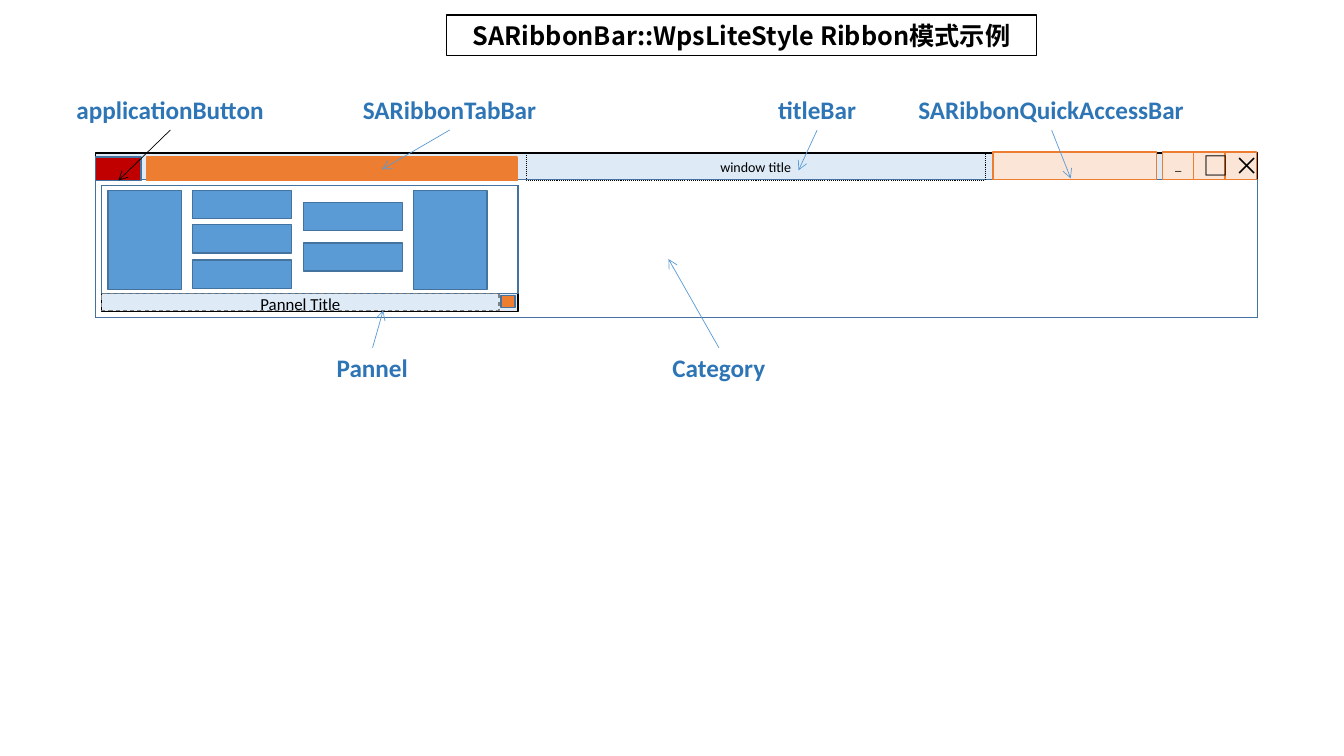
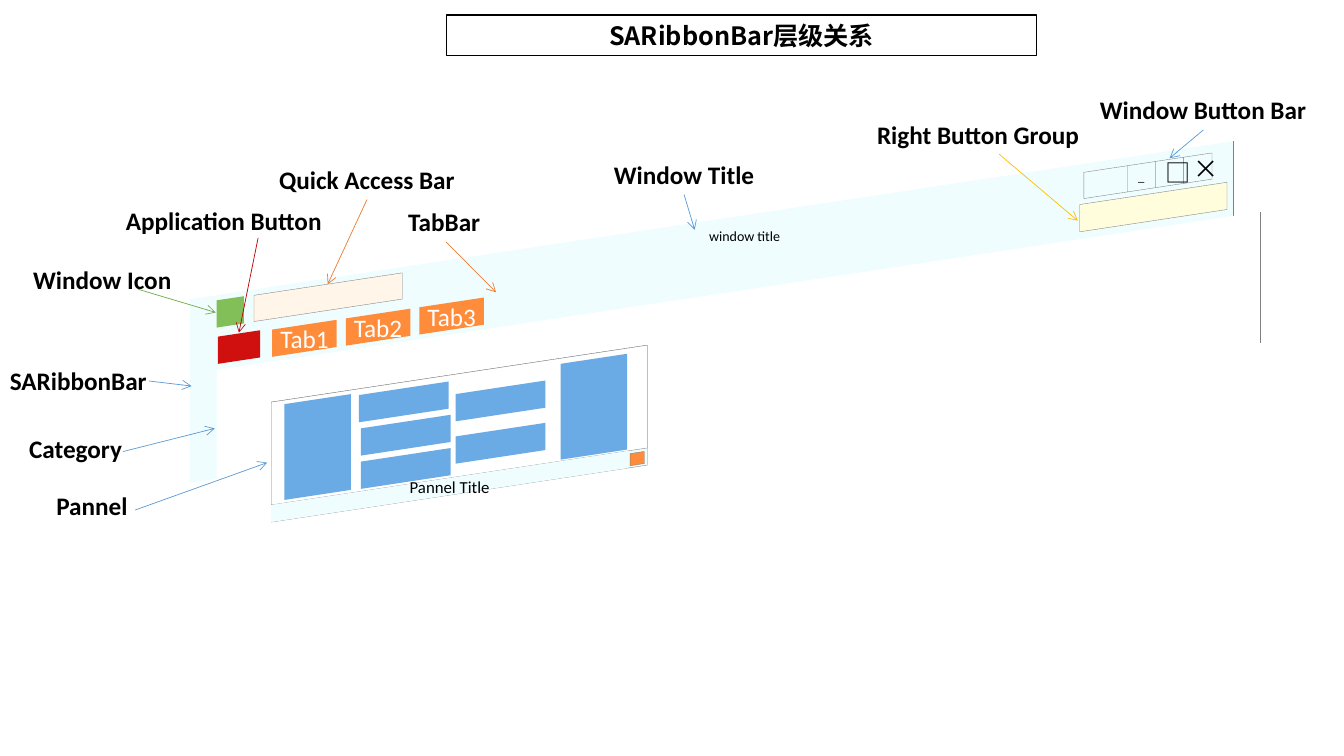
from lxml import etree
from pptx import Presentation
from pptx.dml.color import RGBColor
from pptx.enum.dml import MSO_LINE
from pptx.enum.shapes import MSO_CONNECTOR, MSO_SHAPE
from pptx.enum.text import MSO_ANCHOR, MSO_AUTO_SIZE, PP_ALIGN
from pptx.oxml.ns import qn
from pptx.util import Inches, Pt

COLORS = {
    "black": "000000", "white": "FFFFFF", "gray": "808080", "pale": "DEEBF7",
    "edge": "43739E", "blue": "5B9BD5", "label": "2E75B6", "red": "C00000",
    "orange": "ED7D31", "peach": "FBE5D6", "green": "70AD47", "gold": "FFC000",
    # lighter tones of the tilted view
    "ice": "EFFDFF", "sky": "6AAAE5", "tab": "FF8C3B", "cream": "FFF5E8",
    "lemon": "FFFDDC", "scarlet": "D00F0F", "leaf": "82BF58",
}
LATIN, CJK = "Calibri", "Noto Sans CJK SC"
SLOPE = 0.1515  # rise per inch of the tilted view
# text, size, font of the three window buttons, right to left, so that a
# wide symbol lies over the cell on its right
WINDOW_BUTTONS = [("×", 18, CJK), ("□", 18, CJK), ("_", 9, LATIN)]
BOTTOM, TOP = 2, 0


def rgb(name):
    return RGBColor.from_string(COLORS[name])


def paint(sp, fill=None, line=None, width=1, dash=None):
    sp.shadow.inherit = False
    if fill:
        sp.fill.solid()
        sp.fill.fore_color.rgb = rgb(fill)
    else:
        sp.fill.background()
    if line:
        sp.line.color.rgb = rgb(line)
        sp.line.width = Pt(width)
        if dash:
            sp.line.dash_style = dash
    else:
        sp.line.fill.background()


def write(sp, text, size, color="black", bold=False, font=LATIN,
          align=PP_ALIGN.CENTER, anchor=MSO_ANCHOR.MIDDLE, inset=None):
    tf = sp.text_frame
    tf.text = text
    tf.vertical_anchor = anchor
    if inset is not None:
        tf.margin_left = tf.margin_right = Inches(inset)
        tf.margin_top = tf.margin_bottom = Inches(inset)
    p = tf.paragraphs[0]
    p.alignment = align
    r = p.runs[0]
    r.font.size, r.font.bold, r.font.name = Pt(size), bold, font
    r.font.color.rgb = rgb(color)
    ea = etree.SubElement(r.font._element, qn("a:ea"))
    ea.set("typeface", font)


def rect(s, x, y, w, h, fill=None, line=None, width=1, dash=None):
    sp = s.shapes.add_shape(MSO_SHAPE.RECTANGLE, Inches(x), Inches(y),
                            Inches(w), Inches(h))
    paint(sp, fill, line, width, dash)
    return sp


def slanted(s, x, y, w, h, fill, line=None):
    """Parallelogram with upright sides; x, y is its upper left corner."""
    rise = w * SLOPE
    corners = [(x + w, y - rise), (x + w, y + h - rise), (x, y + h)]
    fb = s.shapes.build_freeform(Inches(x), Inches(y))
    fb.add_line_segments([(Inches(a), Inches(b)) for a, b in corners], close=True)
    sp = fb.convert_to_shape()
    paint(sp, fill, line, 0.25)
    return sp


def connector(s, start, end, color, width=0.5, arrow=True):
    cn = s.shapes.add_connector(MSO_CONNECTOR.STRAIGHT,
                                *(Inches(v) for v in (*start, *end)))
    cn.line.color.rgb = rgb(color)
    cn.line.width = Pt(width)
    if arrow:
        ln = cn.line._get_or_add_ln()
        etree.SubElement(ln, qn("a:tailEnd")).set("type", "arrow")
    etree.SubElement(cn._element.spPr, qn("a:effectLst"))
    return cn


def callout(s, text, box, start, end, text_color="black", color="blue"):
    """Bold label with an arrow; start is a side of the label or a point."""
    x, y, w = box
    tb = s.shapes.add_textbox(Inches(x), Inches(y), Inches(w), Inches(0.4))
    tb.text_frame.word_wrap = False
    tb.text_frame.auto_size = MSO_AUTO_SIZE.SHAPE_TO_FIT_TEXT
    write(tb, text, 18, text_color, True, align=PP_ALIGN.LEFT,
          anchor=MSO_ANCHOR.TOP)
    if isinstance(start, tuple):
        return connector(s, start, end, color)
    cn = connector(s, (x, y), end, color)
    cn.begin_connect(tb, start)
    return cn


def titled_slide(prs, title):
    s = prs.slides.add_slide(prs.slide_layouts[5])
    sp = s.shapes.title
    sp.left, sp.top = Inches(4.43), Inches(0.15)
    sp.width, sp.height = Inches(5.85), Inches(0.4)
    paint(sp, "white", "black")
    write(sp, title, 18, bold=True, font=CJK)
    sp.text_frame.auto_size = MSO_AUTO_SIZE.NONE
    return s


def flat_panel(s, x, y):
    rect(s, x, y, 4.13, 1.25, "pale", "black")
    rect(s, x, y, 4.13, 1.07, "white", "edge")
    rect(s, x + 3.96, y + 1.09, 0.14, 0.12, "orange", "edge")
    for dx in (0.06, 3.09):
        rect(s, x + dx, y + 0.05, 0.73, 0.98, "blue", "edge")
    for dx, rows in ((0.9, (0.05, 0.39, 0.74)), (2, (0.17, 0.57))):
        for dy in rows:
            rect(s, x + dx, y + dy, 0.98, 0.28, "blue", "edge")
    strip = rect(s, x, y + 1.07, 3.94, 0.17, None, "gray", 0.75, MSO_LINE.DASH)
    write(strip, "Pannel Title", 12, anchor=MSO_ANCHOR.TOP, inset=0)


def flat_ribbon(s, x, y):
    """Draw the ribbon and return its application button."""
    rect(s, x, y, 11.52, 1.63, "pale", "black")
    rect(s, x, y + 0.26, 11.52, 1.37, "white", "edge")
    button = rect(s, x, y + 0.04, 0.45, 0.23, "red", "edge")
    rect(s, x + 0.51, y + 0.04, 3.67, 0.23, "orange", "orange")
    rect(s, x + 8.9, y - 0.01, 1.62, 0.27, "peach", "orange")
    for i, (text, size, font) in enumerate(WINDOW_BUTTONS):
        cell = rect(s, x + 11.2 - 0.31 * i, y - 0.01, 0.31, 0.27,
                    "peach", "orange")
        write(cell, text, size, font=font)
    slot = rect(s, x + 4.27, y, 4.55, 0.27, None, "black", 0.75,
                MSO_LINE.ROUND_DOT)
    write(slot, "window title", 10)
    flat_panel(s, x + 0.06, y + 0.32)
    return button


def tilted_panel(s, x, y):
    slanted(s, x, y, 3.73, 1.19, "ice", "gray")
    slanted(s, x, y, 3.73, 1.02, "white", "gray")
    for dx, dy in ((0.13, 0.02), (2.87, -0.38)):
        slanted(s, x + dx, y + dy, 0.66, 0.95, "sky")
    for dx, dy in ((0.87, -0.07), (0.89, 0.26), (0.89, 0.59),
                   (1.83, -0.08), (1.83, 0.34)):
        slanted(s, x + dx, y + dy, 0.89, 0.27, "sky")
    slanted(s, x + 3.56, y + 0.51, 0.14, 0.12, "tab", "gray")
    strip = slanted(s, x, y + 1.02, 3.54, 0.17, "ice")
    write(strip, "Pannel Title", 12, inset=0)


def tilted_window_buttons(s, x, y):
    slanted(s, x, y, 0.43, 0.26, "ice", "gray")
    for i, (text, size, font) in enumerate(WINDOW_BUTTONS):
        dx = 0.99 - 0.28 * i
        cell = slanted(s, x + dx, y - dx * SLOPE, 0.28, 0.26, "ice", "gray")
        write(cell, text, size, font=font)


def tilted_ribbon(s, x, y):
    width = 10.35
    for dx, dy, h, fill in ((0, 0, 1.82, "ice"), (0.27, 0.7, 1.3, "white")):
        slanted(s, x + dx, y + dy, width, h, fill)
        right, top = x + dx + width, y + dy - width * SLOPE
        bottom = top + (0.74 if fill == "ice" else h)
        connector(s, (right, top), (right, bottom), "gray", 0.25, arrow=False)
    slanted(s, x + 0.27, y + 0.01, 0.27, 0.27, "leaf")
    slanted(s, x + 0.28, y + 0.37, 0.42, 0.27, "scarlet")
    slanted(s, x + 0.64, y - 0.04, 1.47, 0.26, "cream", "gray")
    for i in range(3):
        dx = 0.73 * i
        tab = slanted(s, x + 0.82 + dx, y + 0.3 - dx * SLOPE, 0.64, 0.27, "tab")
        write(tab, f"Tab{i + 1}", 18, "white", inset=0)
    tilted_window_buttons(s, x + 8.87, y - 1.26)
    slanted(s, x + 8.83, y - 0.94, 1.46, 0.27, "lemon", "gray")
    tb = s.shapes.add_textbox(Inches(x + 1.83), Inches(y - 0.76),
                              Inches(7.35), Inches(0.27))
    tb.text_frame.word_wrap = True
    write(tb, "window title", 10)
    tilted_panel(s, x + 0.81, y + 1.02)


def mode_slide(prs):
    s = titled_slide(prs, "SARibbonBar::WpsLiteStyle Ribbon模式示例")
    button = flat_ribbon(s, 0.95, 1.52)
    for text, box, side, end in (
            ("SARibbonTabBar", (3.5, 0.89, 1.92), BOTTOM, (3.79, 1.68)),
            ("titleBar", (7.62, 0.89, 0.97), BOTTOM, (7.92, 1.69)),
            ("SARibbonQuickAccessBar", (9.01, 0.89, 2.84), BOTTOM, (10.62, 1.77)),
            ("Pannel", (3.24, 3.45, 0.91), TOP, (3.8, 3.08)),
            ("Category", (6.57, 3.45, 1.12), TOP, (6.63, 2.57))):
        callout(s, text, box, side, end, "label")
    arrow = callout(s, "applicationButton", (0.66, 0.89, 2.06), BOTTOM,
                    (1.17, 1.78), "label", "black")
    arrow.end_connect(button, BOTTOM)


def hierarchy_slide(prs):
    s = titled_slide(prs, "SARibbonBar层级关系")
    tilted_ribbon(s, 1.88, 2.97)
    for text, box, start, end, color in (
            ("Category", (0.19, 4.25, 1.12), (1.22, 4.48), (2.13, 4.25), "blue"),
            ("Window Title", (5.99, 1.53, 1.59), BOTTOM, (6.89, 2.28), "blue"),
            ("Quick Access Bar", (2.67, 1.58, 1.94), BOTTOM, (3.25, 2.82), "orange"),
            ("Application Button", (1.15, 1.99, 2.15), (2.56, 2.36), (2.37, 3.3),
             "red"),
            ("Pannel", (0.46, 4.82, 0.91), (1.34, 5.06), (2.65, 4.59), "blue"),
            ("SARibbonBar", (0, 3.58, 1.57), (1.48, 3.78), (1.9, 3.83), "blue"),
            ("Window Icon", (0.23, 2.57, 1.57), (1.37, 2.87), (2.14, 3.1), "green"),
            ("TabBar", (3.95, 2, 0.95), BOTTOM, (4.92, 2.9), "orange"),
            ("Right Button Group", (8.6, 1.13, 2.21), (9.91, 1.53), (10.69, 2.19),
             "gold"),
            ("Window Button Bar", (10.81, 0.89, 2.25), BOTTOM, (11.6, 1.57),
             "blue")):
        callout(s, text, box, start, end, color=color)


def main():
    prs = Presentation()
    prs.slide_width, prs.slide_height = Inches(13.33), Inches(7.5)
    mode_slide(prs)
    hierarchy_slide(prs)
    prs.save("out.pptx")


if __name__ == "__main__":
    main()
